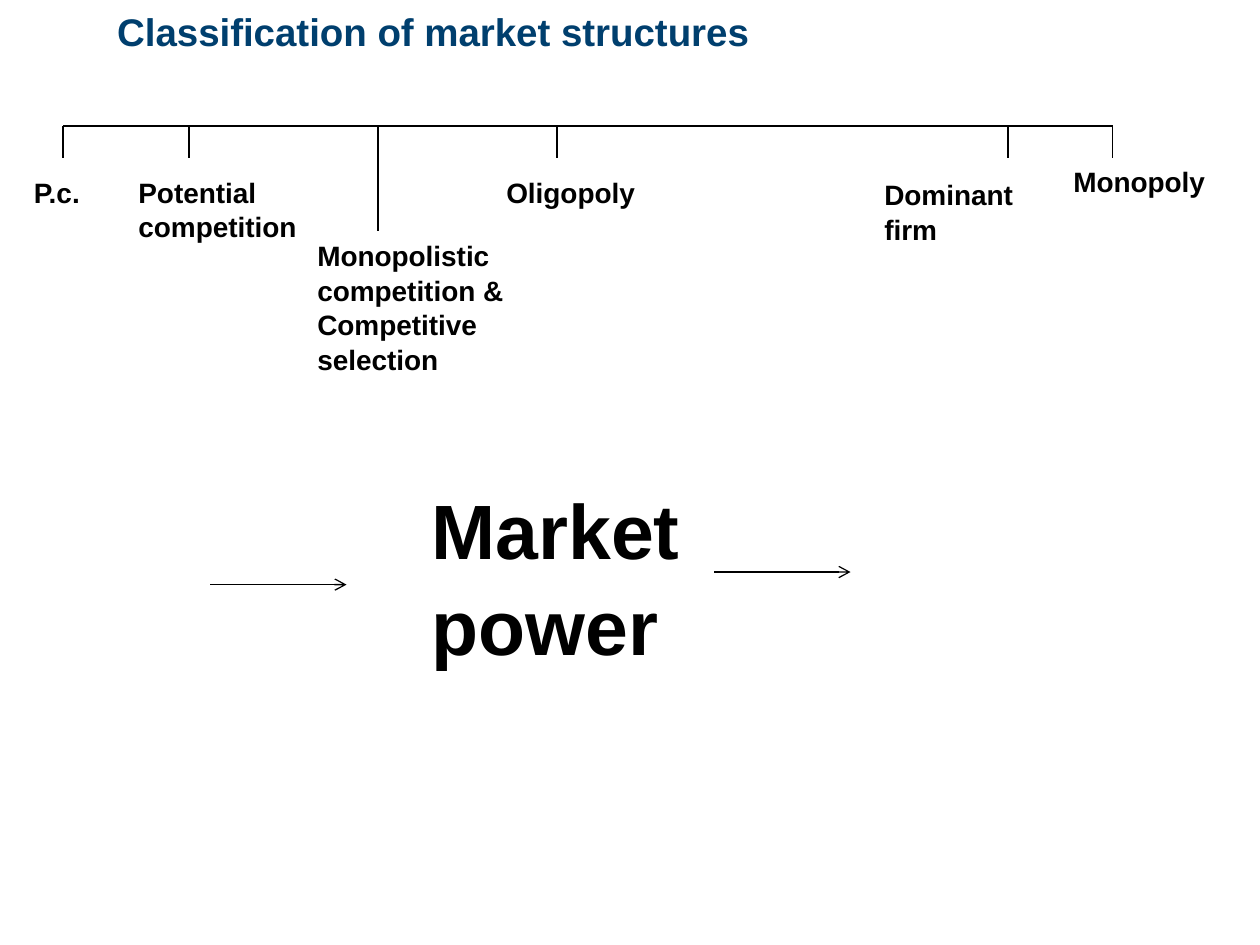
from lxml.etree import SubElement
from pptx import Presentation
from pptx.dml.color import RGBColor
from pptx.enum.shapes import MSO_CONNECTOR
from pptx.enum.text import MSO_ANCHOR, MSO_AUTO_SIZE as AutoSize, PP_ALIGN
from pptx.oxml.ns import qn
from pptx.util import Inches, Pt

COLORS = {"ink": "000000", "title": "003F6E"}

prs = Presentation()
prs.slide_width, prs.slide_height = Inches(10), Inches(7.5)
slide = prs.slides.add_slide(prs.slide_layouts[5])


def write(box, text, size, color="ink", align=PP_ALIGN.LEFT, fit=AutoSize.SHAPE_TO_FIT_TEXT):
    frame = box.text_frame
    frame.text = text
    frame_format = {"word_wrap": True, "auto_size": fit, "vertical_anchor": MSO_ANCHOR.TOP}
    for name, value in frame_format.items():
        setattr(frame, name, value)
    paragraph = frame.paragraphs[0]
    for name, value in {"alignment": align, "line_spacing": 1.04}.items():
        setattr(paragraph, name, value)
    font = paragraph.runs[0].font
    for name, value in {"name": "Arial", "size": Pt(size), "bold": True}.items():
        setattr(font, name, value)
    font.color.rgb = RGBColor.from_string(COLORS[color])


def draw_line(x1, y1, x2, y2, arrow=False):
    line = slide.shapes.add_connector(
        MSO_CONNECTOR.STRAIGHT, Inches(x1), Inches(y1), Inches(x2), Inches(y2))
    line.line.width = Pt(0.75)
    line.line.color.rgb = RGBColor.from_string(COLORS["ink"])
    if arrow:
        SubElement(line.line._get_or_add_ln(), qn("a:tailEnd"), type="arrow")
    SubElement(line._element.spPr, qn("a:effectLst"))


# Title
title = slide.shapes.title
title.left, title.top, title.width, title.height = map(Inches, (0.83, 0, 6.5, 0.92))
write(title, "Classification of market structures", 22, "title", fit=AutoSize.NONE)

# Scale of market structures: tick x, tick end, label box, label
scale_y = 1
structures = [
    (0.5, 1.25, (0.17, 1.33, 1, 0.37), "P.c."),
    (1.5, 1.25, (1, 1.33, 2.08, 0.64), "Potential competition"),
    (3, 1.83, (2.42, 1.83, 2, 1.18), "Monopolistic competition & Competitive selection"),
    (4.42, 1.25, (3.92, 1.33, 1.25, 0.37), "Oligopoly"),
    (8, 1.25, (6.92, 1.35, 1.5, 0.64), "Dominant firm"),
    (8.83, 1.25, (8.42, 1.25, 1.25, 0.37), "Monopoly"),
]
draw_line(structures[0][0], scale_y, structures[-1][0], scale_y)
for tick_x, tick_end, label_area, structure in structures:
    draw_line(tick_x, scale_y, tick_x, tick_end)
    write(slide.shapes.add_textbox(*map(Inches, label_area)), structure, 16)

# Market power, rising from left to right
market_power = slide.shapes.add_textbox(*map(Inches, (2.65, 3.75, 3.52, 1.58)))
write(market_power, "Market power ", 44, align=PP_ALIGN.CENTER)
for arrow_x, arrow_y in [(1.67, 4.64), (5.67, 4.54)]:
    draw_line(arrow_x, arrow_y, arrow_x + 1.08, arrow_y, arrow=True)

prs.save("out.pptx")
